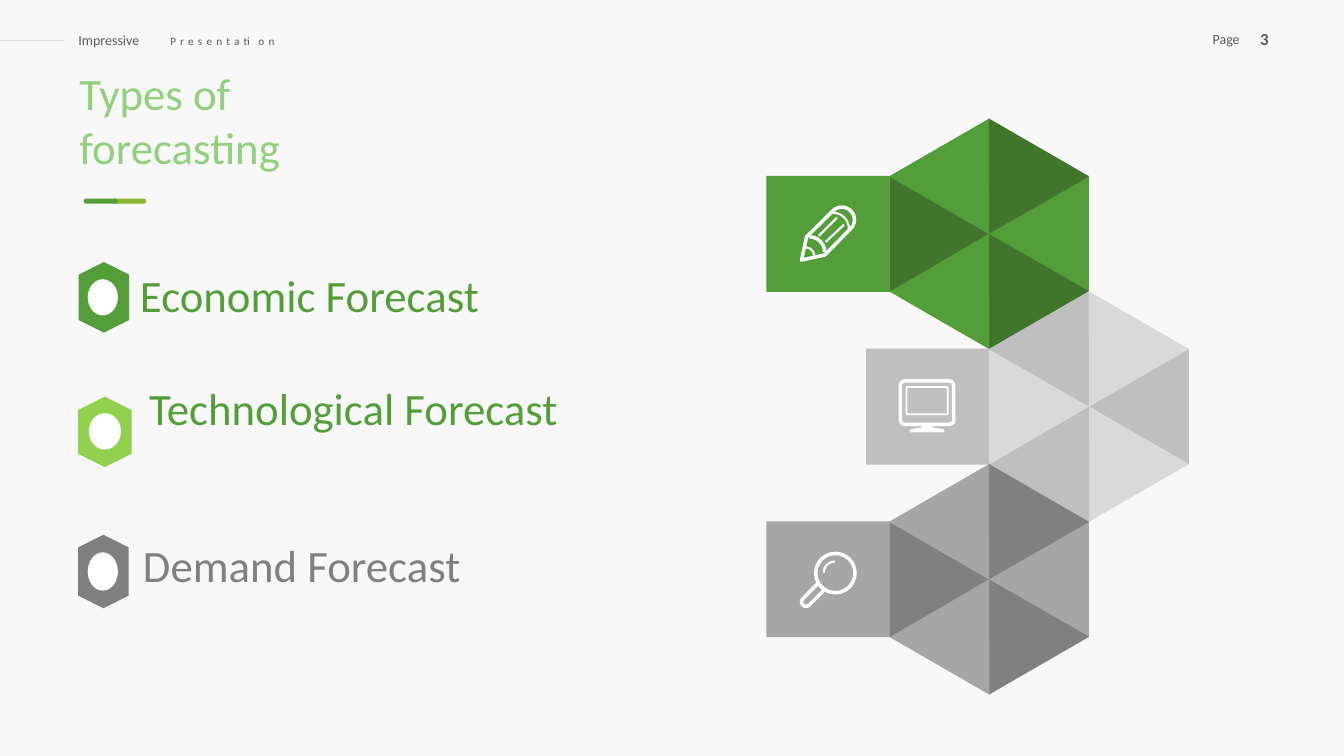
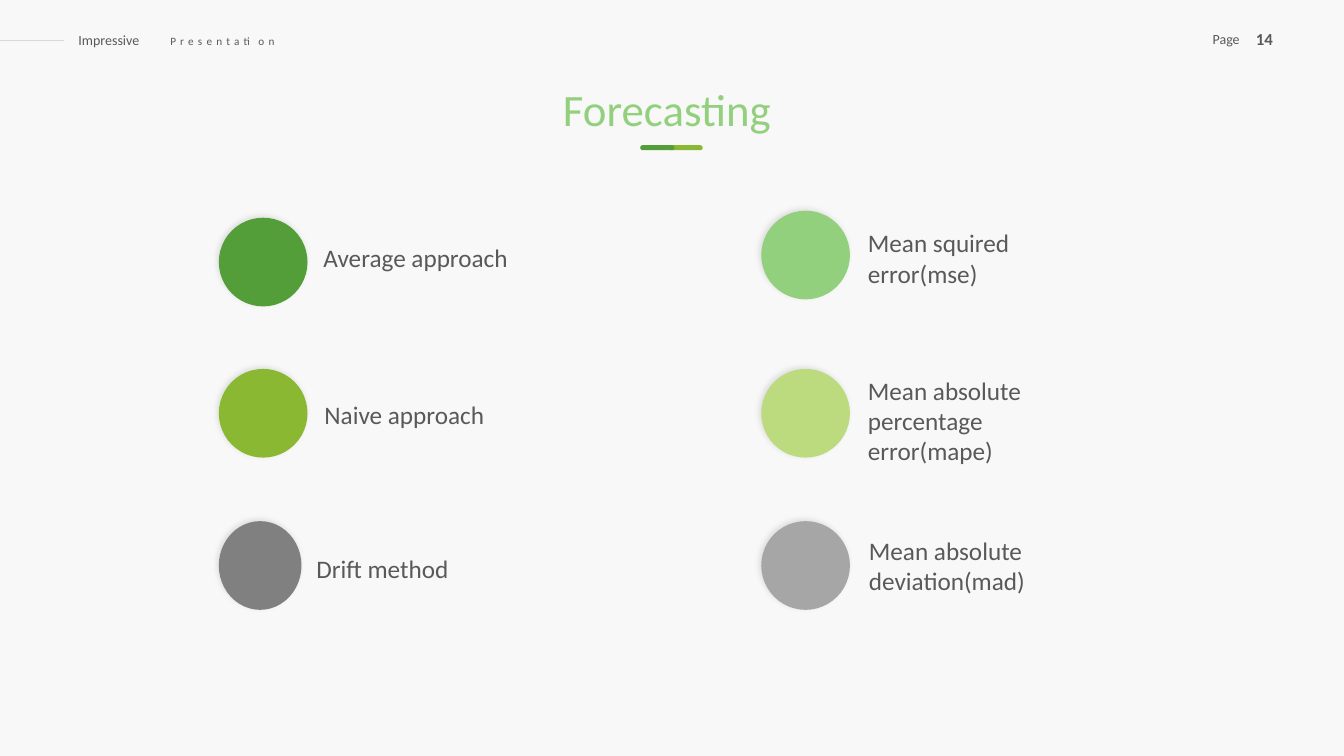
import math
import pptx
import pptx.util
import pptx.dml.color
import pptx.enum.shapes
import pptx.enum.text
import pptx.oxml
import pptx.oxml.ns
import pptx.oxml.xmlchemy

Inches, Pt = pptx.util.Inches, pptx.util.Pt
SHAPE = pptx.enum.shapes.MSO_SHAPE
ALIGN = pptx.enum.text.PP_ALIGN
ANCHOR = pptx.enum.text.MSO_ANCHOR

GREEN, LIME, MINT, DARK_GREEN = "549E39", "8AB833", "93D07D", "3F762B"
INK, RULE, WHITE, PAPER = "595959", "D9D9D9", "FFFFFF", "F8F8F8"
GREY, MID_GREY = "808080", "A6A6A6"

HEADER = [
    ("Impressive", (0.68, 0.26, 0.92, 0.27), dict(size=10, wrap=False)),
    ("Presentation", (1.59, 0.29, 1.28, 0.24), dict(size=8, wrap=False, spacing=3)),
    ("Page", (11.93, 0.25, 0.54, 0.27), dict(size=10, wrap=False)),
]
PAGE_NUMBER_BOX = (12.2, 0.24, 0.68, 0.3)

TYPES = [
    ("Economic Forecast", GREEN, (1.29, 2.61, 4.43, 0.64), GREEN, (0.68, 2.7, 0.7, 0.5), (0.87, 2.77, 0.3, 0.36)),
    ("Technological Forecast", GREEN, (1.38, 3.73, 4.63, 1.18), "92D050", (0.69, 4.02, 0.7, 0.53), (0.88, 4.1, 0.32, 0.36)),
    ("Demand Forecast", GREY, (1.32, 5.29, 4.4, 0.64), GREY, (0.66, 5.42, 0.73, 0.5), (0.87, 5.48, 0.3, 0.38)),
]
PINWHEELS = [(GREEN, DARK_GREEN, GREEN), ("BFBFBF", RULE, "BFBFBF"), (MID_GREY, GREY, MID_GREY)]
FIRST_CENTER = (9.81, 2.32)
SIDE = 1.15
HEIGHT = 0.99
TAB_WIDTH = 1.22

PENCIL_CAP = (8.35, 2.18, 0.125)
PENCIL_POINT = [(8.18, 2.53), (7.95, 2.58), (8, 2.35)]
PENCIL_STRIPES = [((8.12, 2.34), (8.3, 2.16)), ((8.19, 2.4), (8.37, 2.23))]
MONITOR_STAND = [(9.14, 4.2), (9.25, 4.2), (9.25, 4.24), (9.36, 4.26), (9.37, 4.29),
                 (9.02, 4.29), (9.03, 4.26), (9.14, 4.24)]
ICON_PARTS = [
    (SHAPE.ARC, (8.1, 2.11, 0.32, 0.32), 0, 1.5, None),
    (SHAPE.ARC, (7.88, 2.35, 0.3, 0.3), 0, 2.5, None),
    (SHAPE.ARC, (7.88, 2.45, 0.2, 0.2), 0, 1.5, None),
    (SHAPE.ROUNDED_RECTANGLE, (8.93, 3.78, 0.53, 0.43), 0, 2.5, 0.1),
    (SHAPE.ROUNDED_RECTANGLE, (8.99, 3.84, 0.41, 0.27), 0, 1.25, 0.04),
    (SHAPE.OVAL, (8.09, 5.49, 0.39, 0.39), 0, 2.5, None),
    (SHAPE.ARC, (8.17, 5.57, 0.22, 0.22), 270, 1.5, None),
    (SHAPE.ROUND_2_SAME_RECTANGLE, (8.01, 5.78, 0.09, 0.26), 225, 2.5, 0.5),
]

METHODS = [
    ("Average approach", GREEN, (2.17, 2.16, 0.88, 0.88), (3.11, 2.36, 2.52, 0.4)),
    ("Naive approach", LIME, (2.17, 3.66, 0.88, 0.88), (3.12, 3.91, 2.24, 0.4)),
    ("Drift method", GREY, (2.17, 5.17, 0.82, 0.88), (3.04, 5.44, 2.4, 0.4)),
    ("Mean squired error(mse)", MINT, (7.55, 2.09, 0.88, 0.88), (8.51, 2.21, 2.24, 0.71)),
    ("Mean absolute percentage error(mape)", "BBDB7E", (7.55, 3.66, 0.88, 0.88), (8.51, 3.67, 2.24, 1.01)),
    ("Mean absolute deviation(mad)", MID_GREY, (7.55, 5.17, 0.88, 0.88), (8.52, 5.26, 2.24, 0.71)),
]
SHADOW = (
    '<a:outerShdw xmlns:a="http://schemas.openxmlformats.org/drawingml/2006/main" '
    'blurRad="50800" dist="25400" dir="13500000" algn="br" rotWithShape="0">'
    '<a:srgbClr val="000000"><a:alpha val="10000"/></a:srgbClr></a:outerShdw>'
)


def rgb(value):
    return pptx.dml.color.RGBColor.from_string(value)


def apply(target, values):
    for key, value in values.items():
        setattr(target, key, value)


def paint(shape, fill=None, line=None, weight=1):
    shape.shadow.inherit = False
    if fill:
        shape.fill.solid()
        shape.fill.fore_color.rgb = rgb(fill)
    else:
        shape.fill.background()
    if line:
        shape.line.color.rgb = rgb(line)
        shape.line.width = Pt(weight)
    else:
        shape.line.fill.background()
    return shape


def add_part(slide, kind, box, fill=None, line=None, weight=1, rotation=0, corner=None):
    part = paint(slide.shapes.add_shape(kind, *map(Inches, box)), fill, line, weight)
    part.rotation = rotation
    if corner is not None:
        part.adjustments[0] = corner
    return part


def add_outline(slide, points, **look):
    corners = [(Inches(x), Inches(y)) for x, y in points]
    builder = slide.shapes.build_freeform(*corners[0])
    builder.add_line_segments(corners[1:], close=True)
    return paint(builder.convert_to_shape(), **look)


def add_line(slide, start, end, color, weight):
    line = slide.shapes.add_connector(
        pptx.enum.shapes.MSO_CONNECTOR.STRAIGHT, *map(Inches, start + end))
    line.line.color.rgb = rgb(color)
    line.line.width = Pt(weight)
    line._element.spPr.append(pptx.oxml.xmlchemy.OxmlElement("a:effectLst"))


def add_text(slide, text, box, size, color=INK, bold=False, wrap=True,
             align=ALIGN.LEFT, anchor=ANCHOR.TOP, spacing=0):
    frame = slide.shapes.add_textbox(*map(Inches, box)).text_frame
    apply(frame, dict(word_wrap=wrap, vertical_anchor=anchor,
                      auto_size=pptx.enum.text.MSO_AUTO_SIZE.SHAPE_TO_FIT_TEXT))
    paragraph = frame.paragraphs[0]
    paragraph.alignment = align
    run = paragraph.add_run()
    run.text = text
    apply(run.font, dict(name="Calibri", size=Pt(size), bold=bold))
    run.font.color.rgb = rgb(color)
    if spacing:
        run.font._element.set("spc", str(spacing * 100))
    return run


def add_title(slide, text, box, accent_left, accent_top, **layout):
    run = add_text(slide, text, box, 32, anchor=ANCHOR.MIDDLE, **layout)
    run.font.fill.gradient()
    run.font.fill.gradient_angle = 315
    for stop, color in zip(run.font.fill.gradient_stops, (MINT, LIME)):
        stop.color.rgb = rgb(color)
    for shift, color in ((0.28, LIME), (0, GREEN)):
        add_part(slide, SHAPE.ROUNDED_RECTANGLE, (accent_left + shift, accent_top, 0.34, 0.05),
                 color, corner=0.5)


def new_slide(number):
    slide = deck.slides.add_slide(deck.slide_layouts[6])
    slide.background.fill.solid()
    slide.background.fill.fore_color.rgb = rgb(PAPER)
    for text, box, look in HEADER:
        add_text(slide, text, box, **look)
    add_line(slide, (0.63, 0.4), (0, 0.4), RULE, 1)
    add_text(slide, str(number), PAGE_NUMBER_BOX, 12, bold=True, align=ALIGN.CENTER)
    return slide


def add_pinwheel(slide, index, even, odd, tab):
    cx = FIRST_CENTER[0] + index % 2 * HEIGHT
    cy = FIRST_CENTER[1] + index * SIDE * 1.49
    add_part(slide, SHAPE.RECTANGLE, (cx - HEIGHT - TAB_WIDTH, cy - SIDE / 2, TAB_WIDTH, SIDE), tab)
    for wedge in range(6):
        angle = wedge * 60
        x = cx + HEIGHT / 2 * math.cos(math.radians(angle))
        y = cy + HEIGHT / 2 * math.sin(math.radians(angle))
        add_part(slide, SHAPE.ISOSCELES_TRIANGLE, (x - SIDE / 2, y - HEIGHT / 2, SIDE, HEIGHT),
                 odd if wedge % 2 else even, rotation=angle - 90)


def add_icons(slide):
    x, y, radius = PENCIL_CAP
    turns = [math.radians(225 + step * 15) for step in range(13)]
    cap = [(x + radius * math.cos(turn), y + radius * math.sin(turn)) for turn in turns]
    add_outline(slide, cap + PENCIL_POINT, line=WHITE, weight=2.5)
    for start, end in PENCIL_STRIPES:
        add_line(slide, start, end, WHITE, 1.5)
    add_outline(slide, MONITOR_STAND, fill=WHITE)
    for kind, box, rotation, weight, corner in ICON_PARTS:
        add_part(slide, kind, box, None, WHITE, weight, rotation, corner)


deck = pptx.Presentation()
apply(deck, dict(slide_width=Inches(13.33), slide_height=Inches(7.5)))

types = new_slide(3)
for index, colors in enumerate(PINWHEELS):
    add_pinwheel(types, index, *colors)
add_icons(types)
add_title(types, "Types of forecasting", (0.69, 0.6, 3.37, 1.18), 0.83, 1.97)
for label, color, label_box, badge, badge_box, hole_box in TYPES:
    add_part(types, SHAPE.HEXAGON, badge_box, badge, rotation=90)
    add_part(types, SHAPE.OVAL, hole_box, WHITE)
    add_text(types, label, label_box, 32, color)

methods = new_slide(14)
for label, color, dot_box, label_box in METHODS:
    dot = add_part(methods, SHAPE.OVAL, dot_box, color)
    effects = dot._element.spPr.find(pptx.oxml.ns.qn("a:effectLst"))
    effects.append(pptx.oxml.parse_xml(SHADOW))
    add_text(methods, label, label_box, 18)
add_title(methods, "Forecasting", (5.28, 0.76, 2.67, 0.64), 6.35, 1.44,
          wrap=False, align=ALIGN.CENTER)

deck.save("out.pptx")
